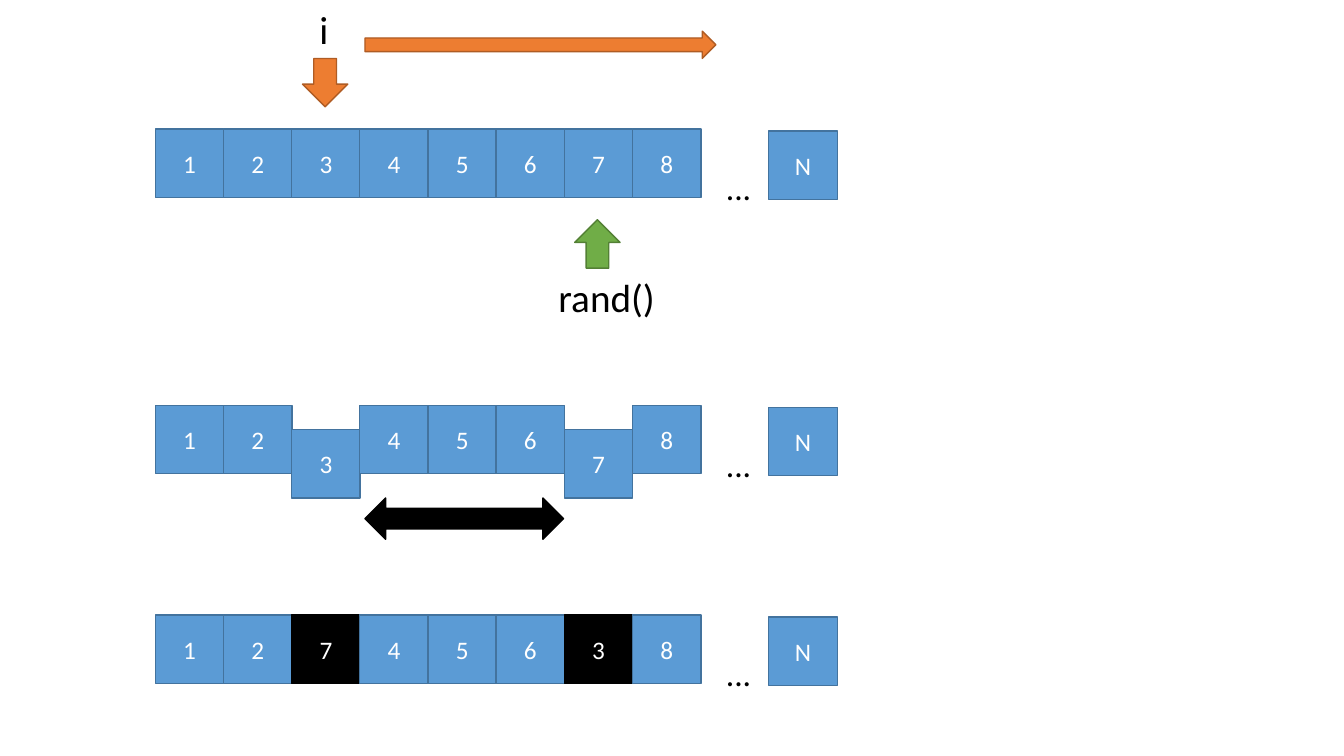
from dataclasses import dataclass

from pptx import Presentation
from pptx.dml.color import RGBColor
from pptx.enum.shapes import MSO_SHAPE
from pptx.enum.text import MSO_ANCHOR, MSO_AUTO_SIZE, PP_ALIGN
from pptx.shapes.autoshape import Shape
from pptx.shapes.shapetree import SlideShapes
from pptx.text.text import TextFrame
from pptx.util import Inches, Pt

RECT = MSO_SHAPE.RECTANGLE
RIGHT_ARROW = MSO_SHAPE.RIGHT_ARROW
DOWN_ARROW = MSO_SHAPE.DOWN_ARROW
LEFT_RIGHT_ARROW = MSO_SHAPE.LEFT_RIGHT_ARROW
MIDDLE = MSO_ANCHOR.MIDDLE
FIT_SHAPE = MSO_AUTO_SIZE.SHAPE_TO_FIT_TEXT
CENTER = PP_ALIGN.CENTER
LEFT = PP_ALIGN.LEFT


@dataclass(frozen=True)
class Paint:
    fill: str
    line: str


@dataclass(frozen=True)
class Theme:
    font: str = "Calibri"
    cell: Paint = Paint("5B9BD5", "43739E")
    swapped: Paint = Paint("000000", "000000")
    index: Paint = Paint("ED7D31", "AF5C24")
    random: Paint = Paint("70AD47", "538035")
    cell_text: str = "FFFFFF"
    label_text: str = "000000"
    cell_size: int = 18
    dots_size: int = 24
    label_size: int = 28
    line_width: int = 1


@dataclass(frozen=True)
class Box:
    left: float
    top: float
    width: float
    height: float


@dataclass(frozen=True)
class ArrayRow:
    """One state of the array; lowered and swapped hold cell positions."""
    top: float
    values: str
    lowered: tuple[int, ...] = ()
    swapped: tuple[int, ...] = ()


@dataclass(frozen=True)
class Arrow:
    kind: MSO_SHAPE
    box: Box
    paint: Paint
    rotation: int = 0


@dataclass(frozen=True)
class Label:
    text: str
    box: Box
    size: int


THEME = Theme()
ROW_LEFT = 1.54
CELL = 0.68
PITCH = 0.676
LAST_COLUMN = 9
LAST_OFFSET = 0.02
DROP = 0.24

ROWS = (
    ArrayRow(1.28, "12345678"),
    ArrayRow(4.02, "12345678", lowered=(2, 6)),
    ArrayRow(6.1, "12745638", swapped=(2, 6)),
)
ARROWS = (
    Arrow(RIGHT_ARROW, Box(3.62, 0.31, 3.48, 0.27), THEME.index),
    Arrow(DOWN_ARROW, Box(3, 0.58, 0.45, 0.48), THEME.index),
    Arrow(DOWN_ARROW, Box(5.7, 2.18, 0.45, 0.48), THEME.random, 180),
    Arrow(LEFT_RIGHT_ARROW, Box(3.62, 4.94, 1.97, 0.41), THEME.swapped),
)
LABELS = (
    Label("i", Box(3.07, 0, 0.29, 0.57), THEME.label_size),
    Label("rand()", Box(5.44, 2.66, 1.17, 0.57), THEME.label_size),
)


def inches(box: Box) -> tuple[Inches, ...]:
    return tuple(map(Inches, (box.left, box.top, box.width, box.height)))


def write(tf: TextFrame, text: str, size: int, color: str, align: PP_ALIGN) -> None:
    tf.text = text
    p = tf.paragraphs[0]
    p.alignment = align
    font = p.runs[0].font
    font.name = THEME.font
    font.size = Pt(size)
    font.color.rgb = RGBColor.from_string(color)


def add_painted(shapes: SlideShapes, kind: MSO_SHAPE, box: Box, paint: Paint) -> Shape:
    sp = shapes.add_shape(kind, *inches(box))
    sp.shadow.inherit = False
    sp.fill.solid()
    sp.fill.fore_color.rgb = RGBColor.from_string(paint.fill)
    sp.line.color.rgb = RGBColor.from_string(paint.line)
    sp.line.width = Pt(THEME.line_width)
    return sp


def add_cell(shapes: SlideShapes, text: str, column: int, top: float, paint: Paint) -> None:
    box = Box(ROW_LEFT + column * PITCH, top, CELL, CELL)
    tf = add_painted(shapes, RECT, box, paint).text_frame
    tf.vertical_anchor = MIDDLE
    write(tf, text, THEME.cell_size, THEME.cell_text, CENTER)


def add_label(shapes: SlideShapes, label: Label) -> None:
    tf = shapes.add_textbox(*inches(label.box)).text_frame
    tf.word_wrap = False
    tf.auto_size = FIT_SHAPE
    write(tf, label.text, label.size, THEME.label_text, LEFT)


def add_row(shapes: SlideShapes, row: ArrayRow) -> None:
    for column, value in enumerate(row.values):
        top = row.top + (DROP if column in row.lowered else 0)
        paint = THEME.swapped if column in row.swapped else THEME.cell
        add_cell(shapes, value, column, top, paint)
    add_cell(shapes, "N", LAST_COLUMN, row.top + LAST_OFFSET, THEME.cell)
    add_label(shapes, Label("...", Box(7.1, row.top + 0.33, 0.45, 0.5), THEME.dots_size))


def add_arrow(shapes: SlideShapes, arrow: Arrow) -> None:
    sp = add_painted(shapes, arrow.kind, arrow.box, arrow.paint)
    sp.rotation = arrow.rotation


def main() -> None:
    prs = Presentation()
    prs.slide_width = Inches(13.33)
    prs.slide_height = Inches(7.5)
    s = prs.slides.add_slide(prs.slide_layouts.get_by_name("Blank"))
    for row in ROWS:
        add_row(s.shapes, row)
    for arrow in ARROWS:
        add_arrow(s.shapes, arrow)
    for label in LABELS:
        add_label(s.shapes, label)
    prs.save("out.pptx")


if __name__ == "__main__":
    main()
